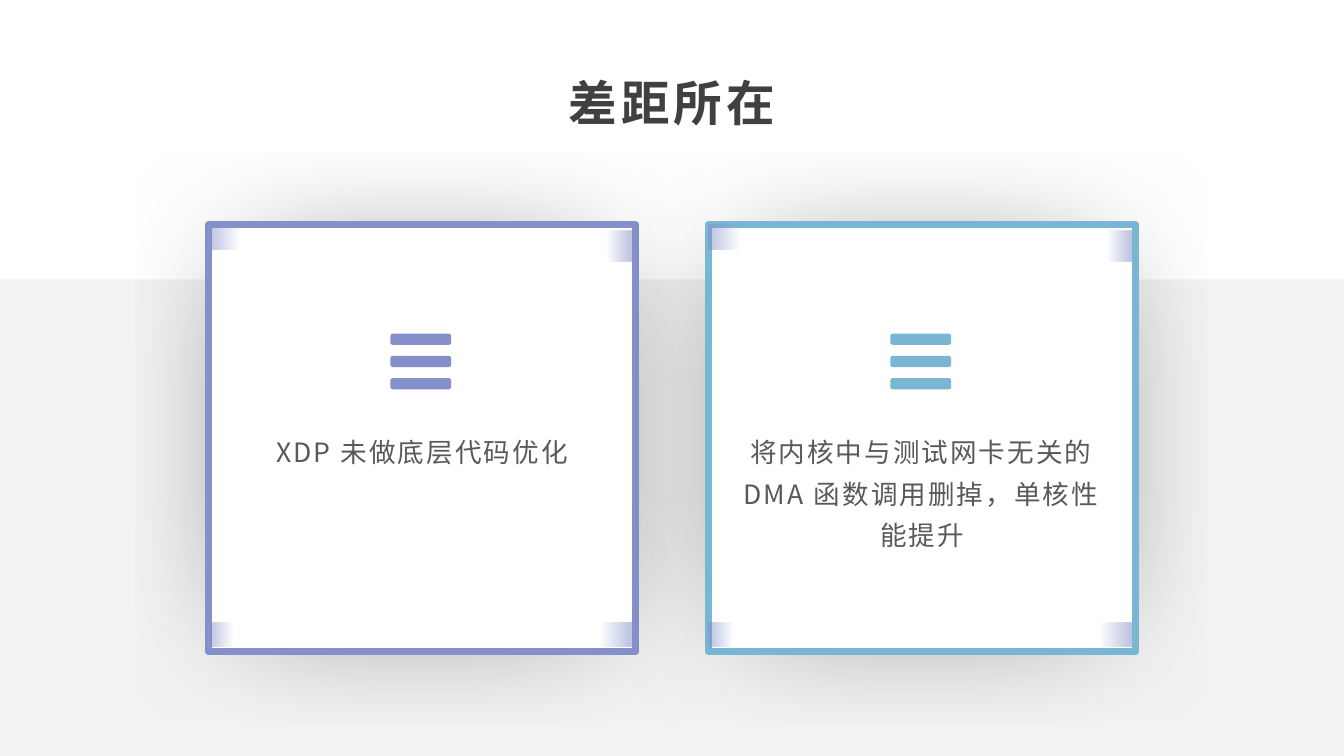
import math

import pptx
import pptx.util
from lxml import etree
from pptx.dml.color import RGBColor
from pptx.enum.shapes import MSO_SHAPE
from pptx.enum.text import MSO_ANCHOR, PP_ALIGN
from pptx.oxml.ns import qn
from pptx.util import Cm, Pt

FONT = "Noto Sans CJK SC"
WHITE = RGBColor(0xFF, 0xFF, 0xFF)
BAND_GREY = RGBColor(0xF2, 0xF2, 0xF2)
TITLE_GREY = RGBColor(0x40, 0x40, 0x40)
BODY_GREY = RGBColor(0x59, 0x59, 0x59)
PURPLE = RGBColor(0x85, 0x90, 0xCA)
BLUE = RGBColor(0x79, 0xB6, 0xD3)

TITLE = "差距所在"
CARDS = [
    ("XDP 未做底层代码优化", PURPLE),
    ("将内核中与测试网卡无关的 DMA 函数调用删掉，单核性能提升", BLUE),
]

# All lengths below are centimetres.
SLIDE_W, SLIDE_H = 33.87, 19.05
BAND_TOP = 7.04
CARD_LEFT, CARD_TOP, CARD_SIZE, CARD_PITCH = 5.25, 5.66, 10.77, 12.6
CORNER_INSET = 0.1
# Accents: width, height, top within the card, sits on the right
ACCENTS = [
    (1.87, 0.62, CARD_SIZE - 0.75, True),
    (1.47, 0.62, CARD_SIZE - 0.75, False),
    (1.87, 0.62, 0, False),
    (1.47, 0.78, 0.16, True),
]
BAR_LEFT, BAR_TOP, BAR_W, BAR_H, BAR_PITCH = 4.59, 2.75, 1.53, 0.28, 0.56
BAR_RADIUS, BAR_COUNT = 0.06, 3

deck = pptx.Presentation()
deck.slide_width, deck.slide_height = Cm(SLIDE_W), Cm(SLIDE_H)
slide = deck.slides.add_slide(deck.slide_layouts[6])


def add_rect(left, top, width, height, fill=None):
    rect = slide.shapes.add_shape(
        MSO_SHAPE.RECTANGLE, Cm(left), Cm(top), Cm(width), Cm(height))
    rect.shadow.inherit = False
    rect.line.fill.background()
    if fill is not None:
        rect.fill.solid()
        rect.fill.fore_color.rgb = fill
    return rect


def add_text(box, text, size, colour, spacing, bold=False):
    """Put one centred, letter-spaced run into a text box of (left, top, width, height)."""
    frame = slide.shapes.add_textbox(*(Cm(length) for length in box)).text_frame
    frame.word_wrap = True
    paragraph = frame.paragraphs[0]
    paragraph.alignment = PP_ALIGN.CENTER
    run = paragraph.add_run()
    run.text = text
    run.font.size, run.font.bold, run.font.name = Pt(size), bold, FONT
    run.font.color.rgb = colour
    properties = run.font._element
    properties.set("spc", str(round(spacing * 100)))
    etree.SubElement(properties, qn("a:ea"), typeface=FONT)
    return frame


def add_soft_shadow(shape):
    effects = shape._element.spPr.find(qn("a:effectLst"))
    shadow = etree.SubElement(
        effects, qn("a:outerShdw"), blurRad=str(Pt(100)), dist=str(Pt(42)),
        dir="2700000", sx="80000", sy="80000", algn="tl", rotWithShape="0")
    black = etree.SubElement(shadow, qn("a:srgbClr"), val="000000")
    etree.SubElement(black, qn("a:alpha"), val="49000")


def add_accent(left, top, width, height, on_right):
    """Add a corner patch that fades away from the card's outer edge."""
    accent = add_rect(left, top, width, height)
    accent.fill.gradient()
    accent.fill.gradient_angle = 180 if on_right else 0
    for stop, position, opacity in zip(accent.fill.gradient_stops, (0, 0.43), (56, 0)):
        stop.position = position
        stop.color.rgb = PURPLE
        colour = stop._gs.find(qn("a:srgbClr"))
        etree.SubElement(colour, qn("a:alpha"), val=str(opacity * 1000))


def bar_outline(left, top):
    """Points of one rounded bar, corner by corner from the lower right."""
    right, bottom = left + BAR_W - BAR_RADIUS, top + BAR_H - BAR_RADIUS
    centres = [(right, bottom), (left + BAR_RADIUS, bottom),
               (left + BAR_RADIUS, top + BAR_RADIUS), (right, top + BAR_RADIUS)]
    return [
        (Cm(x + BAR_RADIUS * math.cos(math.radians(angle))),
         Cm(y + BAR_RADIUS * math.sin(math.radians(angle))))
        for corner, (x, y) in enumerate(centres)
        for angle in range(corner * 90, corner * 90 + 91, 15)
    ]


def add_bars_icon(left, top, colour):
    bars = [bar_outline(left, top + i * BAR_PITCH) for i in range(BAR_COUNT)]
    builder = slide.shapes.build_freeform(*bars[0][0])
    builder.add_line_segments(bars[0][1:], close=True)
    for bar in bars[1:]:
        builder.move_to(*bar[0])
        builder.add_line_segments(bar[1:], close=True)
    icon = builder.convert_to_shape()
    icon.shadow.inherit = False
    icon.fill.solid()
    icon.fill.fore_color.rgb = colour
    icon.line.fill.background()


add_rect(0, BAND_TOP, SLIDE_W, SLIDE_H - BAND_TOP, BAND_GREY)

title = add_text((1.27, 1.7, 31.33, 1.75), TITLE, 34.7, TITLE_GREY, 3, bold=True)
title.vertical_anchor = MSO_ANCHOR.MIDDLE
title.margin_left = title.margin_right = Cm(0.2)
title.margin_top = title.margin_bottom = Cm(0.1)
title.paragraphs[0].space_after = Pt(8)

for index, (message, accent_colour) in enumerate(CARDS):
    card_left = CARD_LEFT + index * CARD_PITCH
    card = add_rect(card_left, CARD_TOP, CARD_SIZE, CARD_SIZE, WHITE)
    card.line.color.rgb = accent_colour
    card.line.width = Pt(5)
    add_soft_shadow(card)
    for width, height, top, on_right in ACCENTS:
        offset = CARD_SIZE - CORNER_INSET - width if on_right else 0
        add_accent(card_left + offset, CARD_TOP + top, width, height, on_right)
    body = add_text((card_left + 0.51, 10.62, 9.75, 5.26), message, 19, BODY_GREY, 1.5)
    body.paragraphs[0].line_spacing = 1.3
    add_bars_icon(card_left + BAR_LEFT, CARD_TOP + BAR_TOP, accent_colour)

deck.save("out.pptx")
